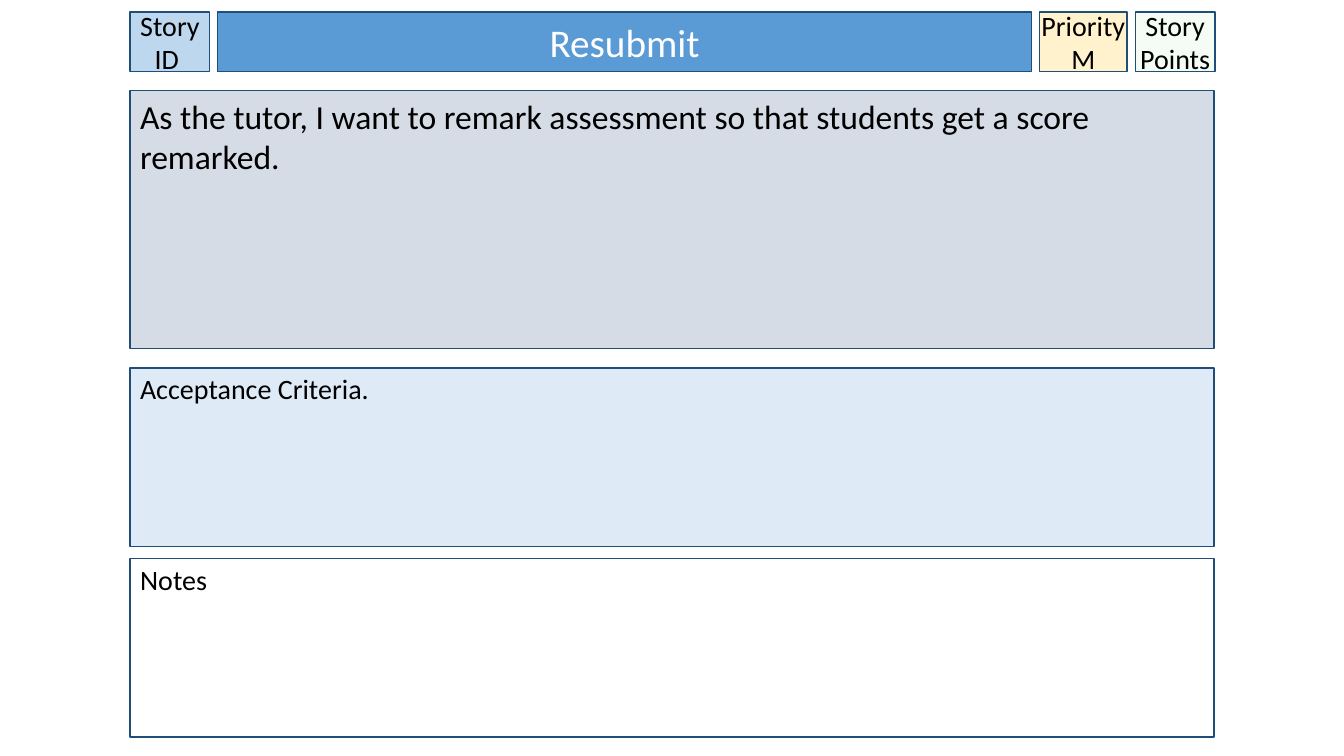
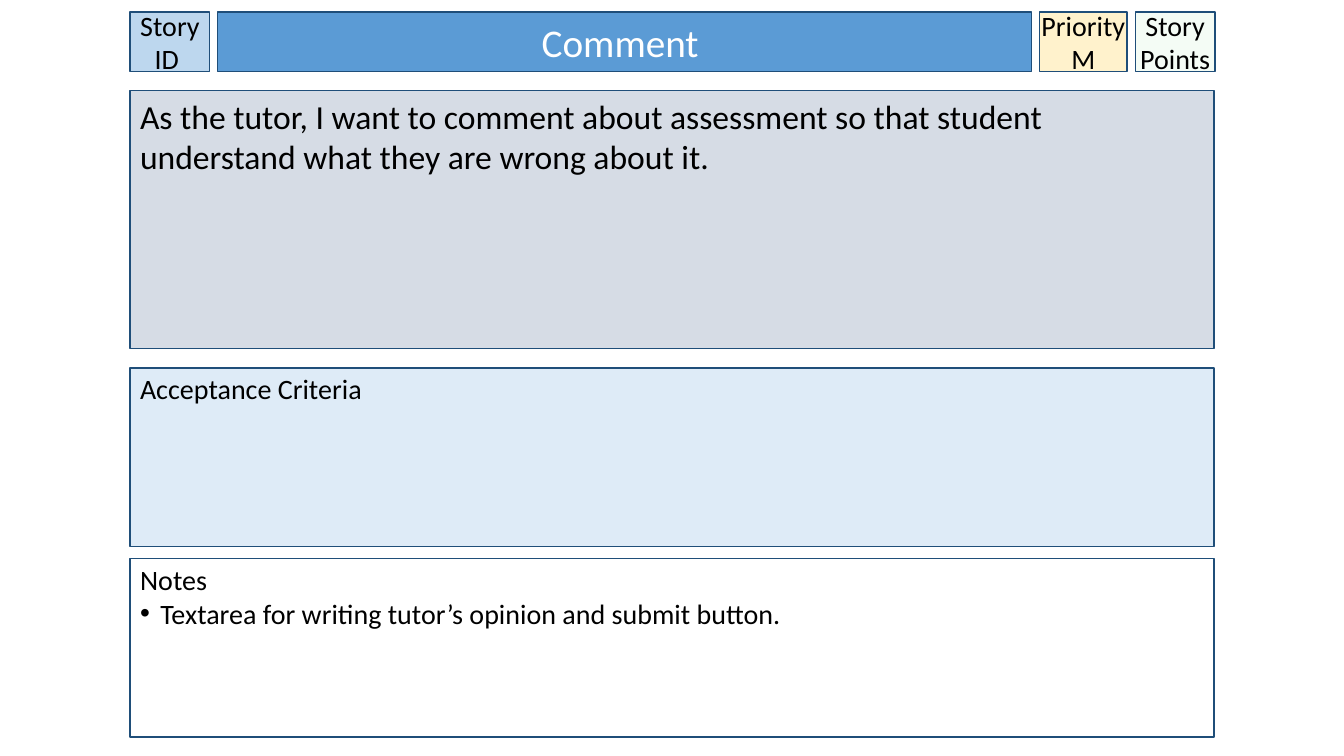
from pptx import Presentation
from pptx.dml.color import RGBColor
from pptx.enum.shapes import MSO_SHAPE
from pptx.enum.text import MSO_ANCHOR, MSO_AUTO_SIZE, PP_ALIGN
from pptx.oxml.ns import qn
from pptx.util import Pt
from lxml import etree

RECT = MSO_SHAPE.RECTANGLE
TOP, MIDDLE = MSO_ANCHOR.TOP, MSO_ANCHOR.MIDDLE
LEFT, CENTER = PP_ALIGN.LEFT, PP_ALIGN.CENTER
FIXED = MSO_AUTO_SIZE.NONE

BLACK = RGBColor(0x00, 0x00, 0x00)
WHITE = RGBColor(0xFF, 0xFF, 0xFF)
NAVY = RGBColor(0x1F, 0x4E, 0x79)
BLUE = RGBColor(0x5B, 0x9B, 0xD5)
SKY = RGBColor(0xBD, 0xD7, 0xEE)
PALE = RGBColor(0xDE, 0xEB, 0xF7)
GRAY = RGBColor(0xD6, 0xDC, 0xE5)
CREAM = RGBColor(0xFF, 0xF2, 0xCC)
MINT = RGBColor(0xCC, 0xF0, 0xCD)

FONT = "Calibri"
SCALE = 9144
EDGE, WIDTH, GAP = 129, 1075, 8
HEAD_TOP, HEAD_HIGH = 12, 59

CARDS = [
    {
        "title": "Resubmit",
        "story": "As the tutor, I want to remark assessment so that students get a score remarked.",
        "tests": "Acceptance Criteria.",
        "notes": [],
    },
    {
        "title": "Comment ",
        "story": "As the tutor, I want to comment about assessment so that student understand what they are wrong about it.",
        "tests": "Acceptance Criteria",
        "notes": ["Textarea for writing tutor’s opinion and submit button."],
    },
]

HEAD = [("id", 79), ("title", 807), ("rank", 87), ("points", 79)]
PANELS = [("story", 90, 256), ("tests", 365, 177), ("notes", 554, 177)]

TAG = {"size": 20, "align": CENTER, "anchor": MIDDLE, "inset": (0, 5)}
PANEL = {"size": 20, "align": LEFT, "anchor": TOP, "inset": (10, 4)}
STYLES = {
    "id": {**TAG, "fill": SKY},
    "title": {**TAG, "fill": BLUE, "size": 28, "color": WHITE, "inset": (10, 5)},
    "rank": {**TAG, "fill": CREAM, "wrap": False},
    "points": {**TAG, "fill": MINT, "alpha": 20},
    "story": {**PANEL, "fill": GRAY, "size": 24, "inset": (10, 5)},
    "tests": {**PANEL, "fill": PALE},
    "notes": {**PANEL, "fill": WHITE},
}


def px(num):
    return round(num * SCALE)


def places():
    spots, left = {}, EDGE
    for name, wide in HEAD:
        spots[name] = (left, HEAD_TOP, wide, HEAD_HIGH)
        left += wide + GAP
    for name, top, high in PANELS:
        spots[name] = (EDGE, top, WIDTH, high)
    return spots


def bullet(para, shown):
    props = para._p.get_or_add_pPr()
    props.set("marL", str(px(20) if shown else 0))
    props.set("indent", str(px(-20) if shown else 0))
    if shown:
        etree.SubElement(props, qn("a:buFont")).set("typeface", "Arial")
        etree.SubElement(props, qn("a:buChar")).set("char", "•")
    else:
        etree.SubElement(props, qn("a:buNone"))


def paint(shape, fill, alpha=None):
    shape.fill.solid()
    shape.fill.fore_color.rgb = fill
    if alpha is not None:
        color = shape._element.spPr.find(qn("a:solidFill"))[0]
        etree.SubElement(color, qn("a:alpha")).set("val", str(alpha * 1000))
    shape.line.color.rgb = NAVY
    shape.line.width = Pt(1)


def write(shape, lines, style):
    frame = shape.text_frame
    frame.text = "\n".join(lines)
    frame.auto_size = FIXED
    frame.word_wrap = style.get("wrap", True)
    frame.vertical_anchor = style["anchor"]
    side, top = style["inset"]
    frame.margin_left = frame.margin_right = px(side)
    frame.margin_top, frame.margin_bottom = px(top), px(5)
    for pos, para in enumerate(frame.paragraphs):
        para.alignment = style["align"]
        para.space_before = Pt(0)
        bullet(para, pos > 0 and style["align"] == LEFT)
        for run in para.runs:
            run.font.name = FONT
            run.font.size = Pt(style["size"])
            run.font.color.rgb = style.get("color", BLACK)


def build(deck, card, spots):
    slide = deck.slides.add_slide(deck.slide_layouts[1])
    held = {"title": slide.shapes.title, "notes": slide.placeholders[1]}
    texts = {
        "id": ["Story ID "],
        "title": [card["title"]],
        "rank": ["Priority", "M"],
        "points": ["Story Points"],
        "story": [card["story"]],
        "tests": [card["tests"]],
        "notes": ["Notes", *card["notes"]],
    }
    for name, spot in spots.items():
        box = [px(num) for num in spot]
        if name in held:
            shape = held[name]
            shape.left, shape.top, shape.width, shape.height = box
        else:
            shape = slide.shapes.add_shape(RECT, *box)
            shape.shadow.inherit = False
        style = STYLES[name]
        paint(shape, style["fill"], style.get("alpha"))
        write(shape, texts[name], style)


def main():
    deck = Presentation()
    deck.slide_width, deck.slide_height = px(1333), px(750)
    spots = places()
    for card in CARDS:
        build(deck, card, spots)
    deck.save("out.pptx")


if __name__ == "__main__":
    main()
